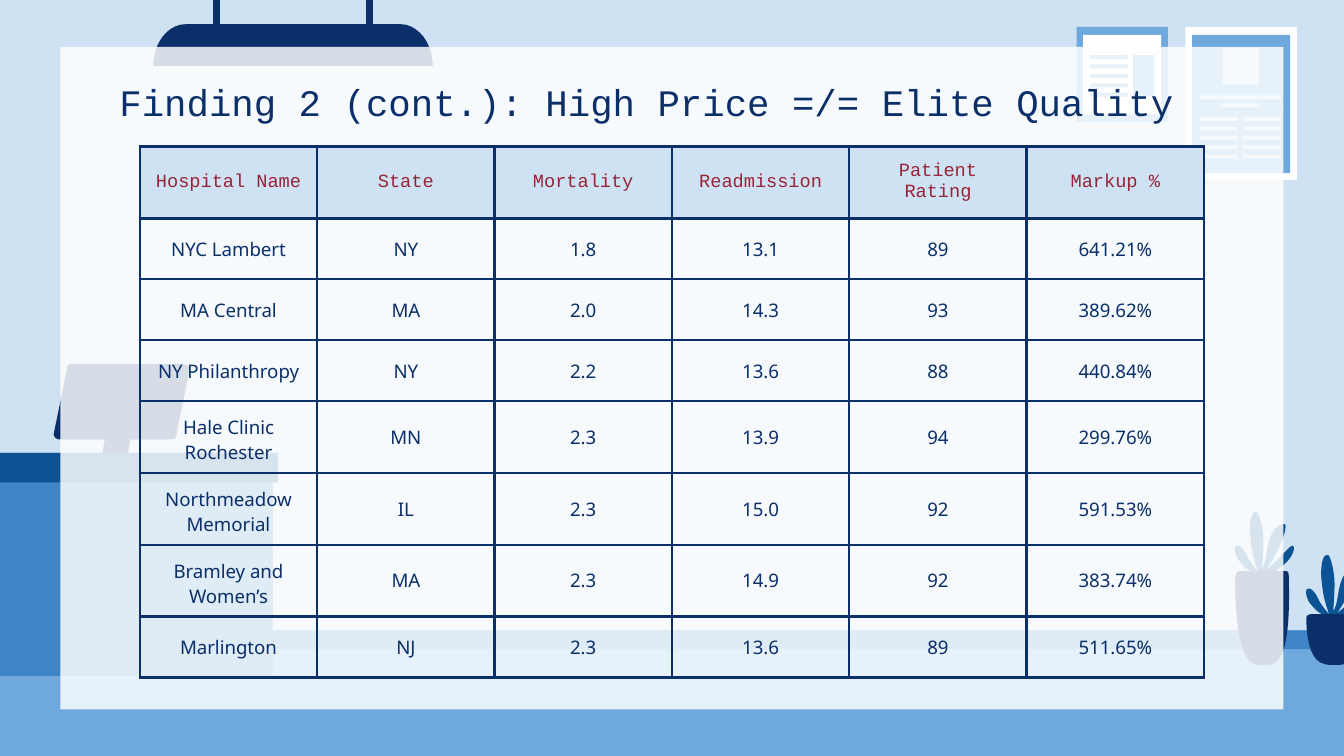
"""Build the hospital price and quality slide with its clinic backdrop."""
from dataclasses import dataclass
from typing import Optional

from lxml.etree import SubElement
from pptx import Presentation
from pptx.dml.color import RGBColor
from pptx.enum.shapes import MSO_SHAPE
from pptx.enum.text import MSO_ANCHOR, PP_ALIGN
from pptx.oxml.ns import qn
from pptx.util import Inches, Pt


@dataclass(frozen=True)
class Theme:
    sky: str = "CFE2F3"
    light: str = "6FA8DC"
    middle: str = "3D85C6"
    deep: str = "0B5394"
    navy: str = "0B2F69"
    white: str = "FFFFFF"
    heading: str = "972538"
    mono: str = "Courier New"
    sans: str = "Noto Sans"
    title_size: float = 20
    table_size: float = 10
    border_width: float = 1.5


@dataclass(frozen=True)
class Block:
    left: float
    top: float
    width: float
    height: float
    color: str
    outline: Optional[float] = None
    opacity: Optional[int] = None


@dataclass(frozen=True)
class Outline:
    start: tuple
    segments: tuple
    color: str


THEME = Theme()

POSTERS = [
    Block(8.82, 0.2, 0.83, 1.14, THEME.white),
    Block(8.87, 0.26, 0.73, 1.03, THEME.light),
    Block(9.08, 0.77, 0.29, 0.03, THEME.sky),
    Block(8.93, 0.71, 0.6, 0.03, THEME.sky),
    *(Block(left, 0.87 + 0.07 * line, 0.28, 0.03, THEME.sky)
      for left in (9.25, 8.93) for line in range(5)),
    Block(9.1, 0.36, 0.27, 0.27, THEME.sky),
    Block(8.01, 0.2, 0.68, 0.71, THEME.light),
    Block(8.06, 0.26, 0.58, 0.59, THEME.white),
    *(Block(8.11, 0.41 + 0.07 * line, 0.28, 0.03, THEME.light) for line in range(5)),
    Block(8.43, 0.41, 0.16, 0.31, THEME.light),
]
FLOOR = [
    Block(-0.05, 4.69, 10.1, 0.95, THEME.light),
    Block(0, 4.69, 10.05, 0.14, THEME.middle),
]
DESK = [
    Block(-0.05, 3.37, 2.08, 1.66, THEME.middle),
    Block(-0.05, 3.37, 2.12, 0.22, THEME.deep),
]
LAMP_RODS = [Block(left, -0.04, 0.04, 0.53, THEME.navy, outline=0.75) for left in (2.73, 1.59)]
PANEL = Block(0.45, 0.35, 9.1, 4.93, THEME.white, opacity=84)

LEAVES = Outline((0.17, 0), (
    (0.15, 0, 0.12, 0.01, 0.12, 0.15), (0.13, 0.29, 0.15, 0.36, 0.18, 0.44),
    (0.18, 0.44, 0.15, 0.41, 0.11, 0.35), (0.08, 0.28, 0.05, 0.25, 0.03, 0.25),
    (0, 0.25, 0, 0.29, 0.03, 0.35), (0.07, 0.4, 0.1, 0.44, 0.18, 0.46),
    (0.18, 0.46, 0.17, 0.47, 0.21, 0.47), (0.22, 0.47, 0.24, 0.47, 0.27, 0.46),
    (0.45, 0.37, 0.46, 0.26, 0.44, 0.25), (0.41, 0.25, 0.32, 0.38, 0.24, 0.43),
    (0.32, 0.32, 0.41, 0.12, 0.38, 0.09), (0.34, 0.09, 0.31, 0.11, 0.28, 0.17),
    (0.24, 0.25, 0.25, 0.36, 0.21, 0.42), (0.21, 0.42, 0.22, 0.29, 0.22, 0.21),
    (0.22, 0.13, 0.19, 0, 0.17, 0)), THEME.deep)
POT = Outline((0.04, 0), (
    (0.02, 0, 0, 0.02, 0, 0.05), (0, 0.22, 0.01, 0.65, 0.14, 0.69),
    (0.16, 0.7, 0.19, 0.7, 0.21, 0.7), (0.24, 0.7, 0.27, 0.7, 0.3, 0.68),
    (0.37, 0.63, 0.41, 0.47, 0.4, 0.06), (0.4, 0.03, 0.4, 0, 0.38, 0)), THEME.navy)
SCREEN = Outline((0.93, 0), (
    (0.95, 0, 0.97, 0.02, 0.97, 0.04), (0.87, 0.54),
    (0.87, 0.55, 0.86, 0.56, 0.84, 0.56), (0.04, 0.56),
    (0.02, 0.56, 0, 0.54, 0, 0.52), (0.1, 0.03),
    (0.1, 0.01, 0.11, 0, 0.13, 0)), THEME.navy)
STAND = Outline((0.2, 0), (
    (0.22, 0, 0.23, 0.02, 0.23, 0.04), (0.17, 0.37), (0, 0.37), (0.06, 0.03),
    (0.07, 0.02, 0.08, 0, 0.1, 0)), THEME.navy)
LAMP_SHADE = Outline((1.84, 0), (
    (1.97, 0, 2.08, 0.14, 2.08, 0.31), (0, 0.31),
    (0, 0.14, 0.11, 0, 0.24, 0)), THEME.navy)

HEADERS = ("Hospital Name", "State", "Mortality", "Readmission", "Patient Rating", "Markup %")
HOSPITALS = (
    ("NYC Lambert", "NY", "1.8", "13.1", "89", "641.21%"),
    ("MA Central", "MA", "2.0", "14.3", "93", "389.62%"),
    ("NY Philanthropy", "NY", "2.2", "13.6", "88", "440.84%"),
    ("Hale Clinic Rochester", "MN", "2.3", "13.9", "94", "299.76%"),
    ("Northmeadow Memorial", "IL", "2.3", "15.0", "92", "591.53%"),
    ("Bramley and Women’s", "MA", "2.3", "14.9", "92", "383.74%"),
    ("Marlington", "NJ", "2.3", "13.6", "89", "511.65%"),
)


def paint(shape, color: str, outline: Optional[float] = None) -> None:
    shape.shadow.inherit = False
    shape.fill.solid()
    shape.fill.fore_color.rgb = RGBColor.from_string(color)
    if outline is None:
        shape.line.fill.background()
    else:
        shape.line.color.rgb = RGBColor.from_string(color)
        shape.line.width = Pt(outline)


def draw_block(page, block: Block) -> None:
    shape = page.shapes.add_shape(MSO_SHAPE.RECTANGLE, Inches(block.left), Inches(block.top),
                                  Inches(block.width), Inches(block.height))
    paint(shape, block.color, block.outline)
    if block.opacity is not None:
        color = shape.fill._xPr.find(qn("a:solidFill"))[0]
        SubElement(color, qn("a:alpha"), val=str(block.opacity * 1000))


def trace(outline: Outline, steps: int = 10) -> list:
    points = [outline.start]
    for segment in outline.segments:
        if len(segment) == 2:
            points.append(segment)
            continue
        controls = (points[-1], segment[:2], segment[2:4], segment[4:])
        for step in range(1, steps + 1):
            t = step / steps
            weights = ((1 - t) ** 3, 3 * t * (1 - t) ** 2, 3 * t * t * (1 - t), t ** 3)
            points.append(tuple(sum(weight * control[axis] for weight, control
                                    in zip(weights, controls)) for axis in (0, 1)))
    return points


def draw_outline(page, outline: Outline, left: float, top: float, stretch: float = 1) -> None:
    points = [(Inches(left + x), Inches(top + y * stretch)) for x, y in trace(outline)]
    builder = page.shapes.build_freeform(*points[0])
    builder.add_line_segments(points[1:], close=True)
    paint(builder.convert_to_shape(), outline.color)


def write(frame, text: str, *, font: str, size: float, color: str,
          align: PP_ALIGN = PP_ALIGN.LEFT) -> None:
    para = frame.paragraphs[0]
    para.alignment = align
    span = para.add_run()
    span.text = text
    span.font.name = font
    span.font.size = Pt(size)
    span.font.color.rgb = RGBColor.from_string(color)


def draw_title(page, text: str) -> None:
    box = page.shapes.add_textbox(Inches(0.79), Inches(0.49), Inches(8.43), Inches(0.63))
    frame = box.text_frame
    frame.word_wrap = True
    frame.vertical_anchor = MSO_ANCHOR.TOP
    frame.margin_left = frame.margin_right = frame.margin_top = frame.margin_bottom = Inches(0.1)
    write(frame, text, font=THEME.mono, size=THEME.title_size, color=THEME.navy)


def add_borders(cell) -> None:
    properties = cell._tc.get_or_add_tcPr()
    for position, side in enumerate(("a:lnL", "a:lnR", "a:lnT", "a:lnB")):
        line = properties.makeelement(qn(side), {"w": str(Pt(THEME.border_width))})
        properties.insert(position, line)
        fill = SubElement(line, qn("a:solidFill"))
        SubElement(fill, qn("a:srgbClr"), val=THEME.navy)


def draw_table(page, rows: tuple) -> None:
    holder = page.shapes.add_table(len(rows), len(HEADERS), Inches(1.04), Inches(1.09),
                                   Inches(7.92), Inches(3.63))
    holder.height = Inches(3.87)
    for row_index, row in enumerate(rows):
        is_header = row_index == 0
        for column_index, text in enumerate(row):
            cell = holder.table.cell(row_index, column_index)
            cell.vertical_anchor = MSO_ANCHOR.MIDDLE
            cell.margin_left = cell.margin_right = Inches(0.1)
            cell.margin_top = cell.margin_bottom = Inches(0.1)
            if is_header:
                cell.fill.solid()
                cell.fill.fore_color.rgb = RGBColor.from_string(THEME.sky)
            else:
                cell.fill.background()
            add_borders(cell)
            write(cell.text_frame, text, font=THEME.mono if is_header else THEME.sans,
                  size=THEME.table_size, align=PP_ALIGN.CENTER,
                  color=THEME.heading if is_header else THEME.navy)


def draw_backdrop(page) -> None:
    for block in POSTERS + FLOOR:
        draw_block(page, block)
    for left, top, stretch in ((9.18, 3.81, 1), (9.71, 4.13, 0.54)):
        draw_outline(page, LEAVES, left, top)
        draw_outline(page, POT, left + 0.01, top + 0.44, stretch)
    for outline, lefts, top in ((SCREEN, (0.4, 0.44), 2.71), (STAND, (0.75, 0.77), 3.07)):
        for left in lefts:
            draw_outline(page, outline, left, top)
    for block in DESK:
        draw_block(page, block)
    draw_outline(page, LAMP_SHADE, 1.14, 0.18)
    for block in LAMP_RODS + [PANEL]:
        draw_block(page, block)


def main() -> None:
    deck = Presentation()
    deck.slide_width = Inches(10)
    deck.slide_height = deck.slide_width * 9 // 16
    page = deck.slides.add_slide(deck.slide_layouts[6])
    page.background.fill.solid()
    page.background.fill.fore_color.rgb = RGBColor.from_string(THEME.sky)
    draw_backdrop(page)
    draw_title(page, "Finding 2 (cont.): High Price =/= Elite Quality")
    draw_table(page, (HEADERS, *HOSPITALS))
    deck.save("out.pptx")


if __name__ == "__main__":
    main()
